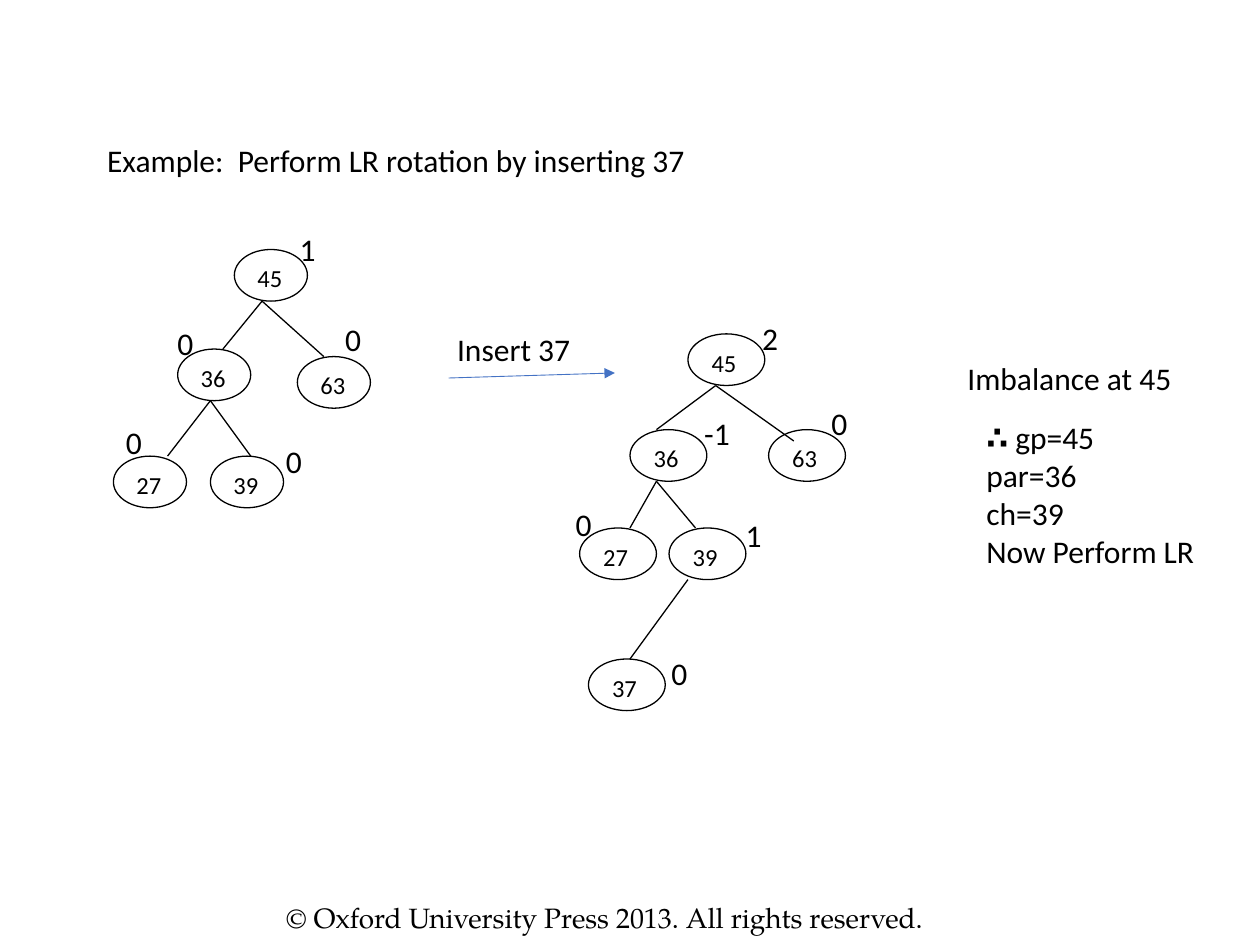
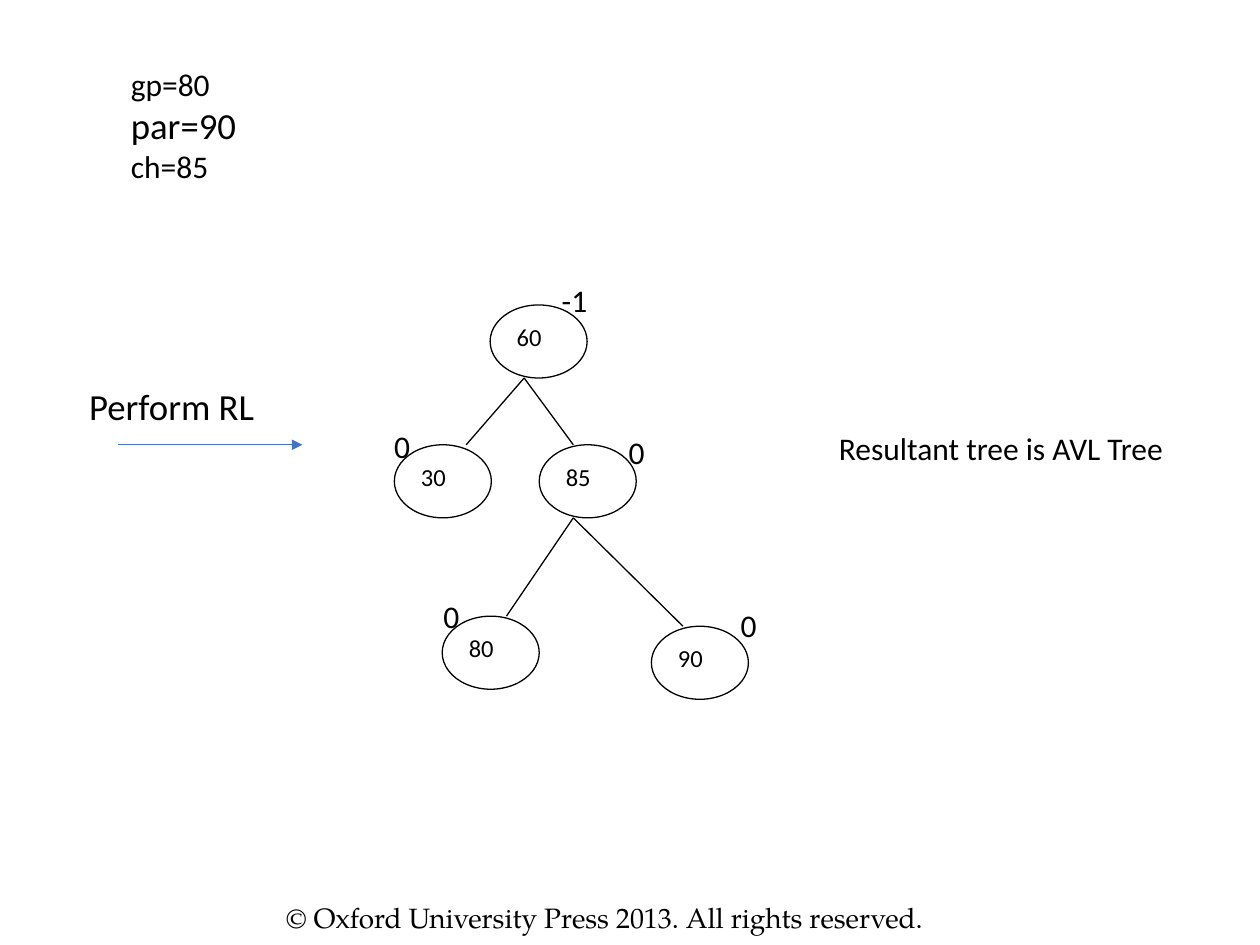
from lxml import etree
from pptx import Presentation
from pptx.dml.color import RGBColor
from pptx.enum.shapes import MSO_CONNECTOR, MSO_SHAPE
from pptx.enum.text import MSO_ANCHOR, MSO_AUTO_SIZE, PP_ALIGN
from pptx.oxml.ns import qn
from pptx.util import Inches, Pt

LINE, OVAL = MSO_CONNECTOR.STRAIGHT, MSO_SHAPE.OVAL
LEFT, TOP, FIXED = PP_ALIGN.LEFT, MSO_ANCHOR.TOP, MSO_AUTO_SIZE.NONE
BLACK, WHITE, BLUE = "000000", "FFFFFF", "4472C4"
SANS, SERIF = "Calibri", "TeX Gyre Pagella"
TITLE_ONLY, BLANK = 5, 6

FOOTER = "© Oxford University Press 2013. All rights reserved."

# Nodes: key: (left, top, balance, balance left, balance top)
# Edges: (parent, child, start x, end x, depth reached into the child)
BEFORE = {
    "size": (0.58, 0.41),
    "nodes": {
        "45": (1.86, 1.98, "1", 2.28, 1.78),
        "36": (1.41, 2.77, "0", 1.31, 2.52),
        "63": (2.36, 2.83, "0", 2.64, 2.49),
        "27": (0.9, 3.62, "0", 0.9, 3.31),
        "39": (1.67, 3.62, "0", 2.17, 3.46),
    },
    "edges": [
        ("45", "36", 2.08, 1.77, 0), ("45", "63", 2.08, 2.57, 0),
        ("36", "27", 1.67, 1.33, 0), ("36", "39", 1.67, 1.99, 0),
    ],
}
AFTER = {
    "size": (0.61, 0.41),
    "nodes": {
        "45": (5.46, 2.65, "2", 5.95, 2.48),
        "36": (5, 3.41, "-1", 5.49, 3.24),
        "63": (6.1, 3.41, "0", 6.5, 3.16),
        "27": (4.6, 4.19, "0", 4.47, 3.96),
        "39": (5.31, 4.19, "1", 5.82, 4.05),
        "37": (4.67, 5.23, "0", 5.23, 5.14),
    },
    "edges": [
        ("45", "36", 5.68, 5.21, 0), ("45", "63", 5.68, 6.3, 0.09),
        ("36", "27", 5.21, 5, 0), ("36", "39", 5.21, 5.52, 0),
        ("39", "37", 5.46, 5, 0),
    ],
}
RESULT = {
    "size": (0.77, 0.58),
    "nodes": {
        "60": (3.89, 2.42, "-1", 4.36, 2.18),
        "30": (3.13, 3.53, "0", 3.03, 3.34),
        "85": (4.28, 3.53, "0", 4.89, 3.39),
        "80": (3.51, 4.89, "0", 3.42, 4.69),
        "90": (5.17, 4.97, "0", 5.78, 4.76),
    },
    "edges": [
        ("60", "30", 4.16, 3.7, 0), ("60", "85", 4.16, 4.55, 0),
        ("85", "80", 4.55, 4.02, 0), ("85", "90", 4.55, 5.42, 0),
    ],
}

# Labels: (box, [(line, size), ...]); a "∴ " at the start of a line is bold
SLIDES = [
    {
        "title": ((0.75, 1.07, 7.72, 0.4),
                  "Example:  Perform LR rotation by inserting 37"),
        "trees": [BEFORE, AFTER],
        "labels": [
            ((3.53, 2.57, 1.2, 0.4), [("Insert 37", 18)]),
            ((7.58, 2.8, 1.9, 0.4), [("Imbalance at 45", 18)]),
            ((7.73, 3.27, 2.1, 1.3), [("∴ gp=45", 18), ("par=36", 18),
                                      ("ch=39", 18), ("Now Perform LR", 18)]),
        ],
        "arrow": (3.56, 3, 4.88, 2.96),
    },
    {
        "title": None,
        "trees": [RESULT],
        "labels": [
            ((0.94, 0.47, 1.2, 1.35),
             [("gp=80", 18), ("par=90", 21), ("ch=85", 18)]),
            ((0.61, 3, 1.7, 0.45), [("Perform RL", 21)]),
            ((6.56, 3.36, 2.9, 0.4), [("Resultant tree is AVL Tree", 18)]),
        ],
        "arrow": (0.94, 3.53, 2.4, 3.53),
    },
]


def inches(nums):
    return [Inches(n) for n in nums]


def color(code):
    return RGBColor.from_string(code)


def style(par, size, face=SANS):
    par.alignment = LEFT
    par.font.size = Pt(size)
    par.font.name = face
    par.font.color.rgb = color(BLACK)


def add_label(slide, box, lines, face=SANS):
    frame = slide.shapes.add_textbox(*inches(box)).text_frame
    frame.word_wrap = True
    for i, (text, size) in enumerate(lines):
        par = frame.add_paragraph() if i else frame.paragraphs[0]
        _, mark, rest = text.rpartition("∴ ")
        if mark:
            run = par.add_run()
            run.text = mark
            run.font.bold = True
        par.add_run().text = rest
        style(par, size, face)


def add_line(slide, ends, code=BLACK, width=0.75, arrow=False):
    line = slide.shapes.add_connector(LINE, *inches(ends))
    line.line.color.rgb = color(code)
    line.line.width = Pt(width)
    if arrow:
        tip = etree.SubElement(line.line._get_or_add_ln(), qn("a:tailEnd"))
        tip.set("type", "triangle")
    etree.SubElement(line._element.spPr, qn("a:effectLst"))


def add_node(slide, box, key):
    node = slide.shapes.add_shape(OVAL, *inches(box))
    node.shadow.inherit = False
    node.fill.solid()
    node.fill.fore_color.rgb = color(WHITE)
    node.line.color.rgb = color(BLACK)
    node.line.width = Pt(0.75)
    frame = node.text_frame
    frame.word_wrap = False
    frame.vertical_anchor = TOP
    frame.text = key
    style(frame.paragraphs[0], 14)
    frame.paragraphs[0].space_after = Pt(10)


def add_tree(slide, tree):
    nodes, (wide, high) = tree["nodes"], tree["size"]
    for key, (x, y, *_) in nodes.items():
        add_node(slide, (x, y, wide, high), key)
    for top, low, x1, x2, dip in tree["edges"]:
        add_line(slide, (x1, nodes[top][1] + high, x2, nodes[low][1] + dip))
    for _, _, mark, x, y in nodes.values():
        add_label(slide, (x, y, 0.5 if len(mark) > 1 else 0.35, 0.4),
                  [(mark, 18)])


def set_title(slide, box, text):
    title = slide.shapes.title
    title.left, title.top, title.width, title.height = inches(box)
    frame = title.text_frame
    frame.text = text
    frame.vertical_anchor = TOP
    frame.auto_size = FIXED
    style(frame.paragraphs[0], 18)


def main():
    deck = Presentation()
    deck.slide_width, deck.slide_height = Inches(10), Inches(7.5)
    for page in SLIDES:
        kind = TITLE_ONLY if page["title"] else BLANK
        slide = deck.slides.add_slide(deck.slide_layouts[kind])
        add_label(slide, (2.17, 7.1, 5.75, 0.37), [(FOOTER, 16)], SERIF)
        if page["title"]:
            set_title(slide, *page["title"])
        for tree in page["trees"]:
            add_tree(slide, tree)
        for box, lines in page["labels"]:
            add_label(slide, box, lines)
        add_line(slide, page["arrow"], BLUE, 0.5, arrow=True)
    deck.save("out.pptx")


if __name__ == "__main__":
    main()
